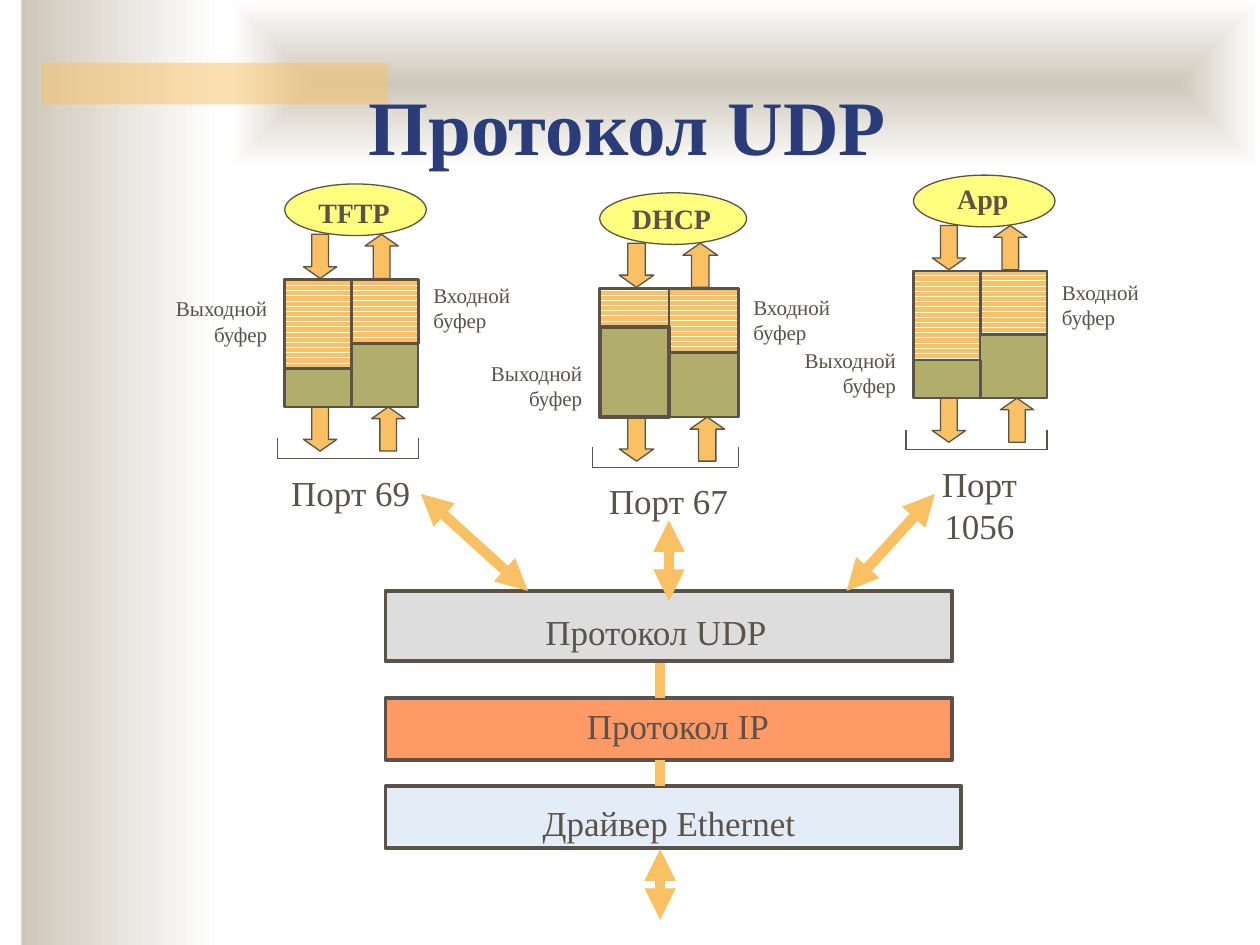
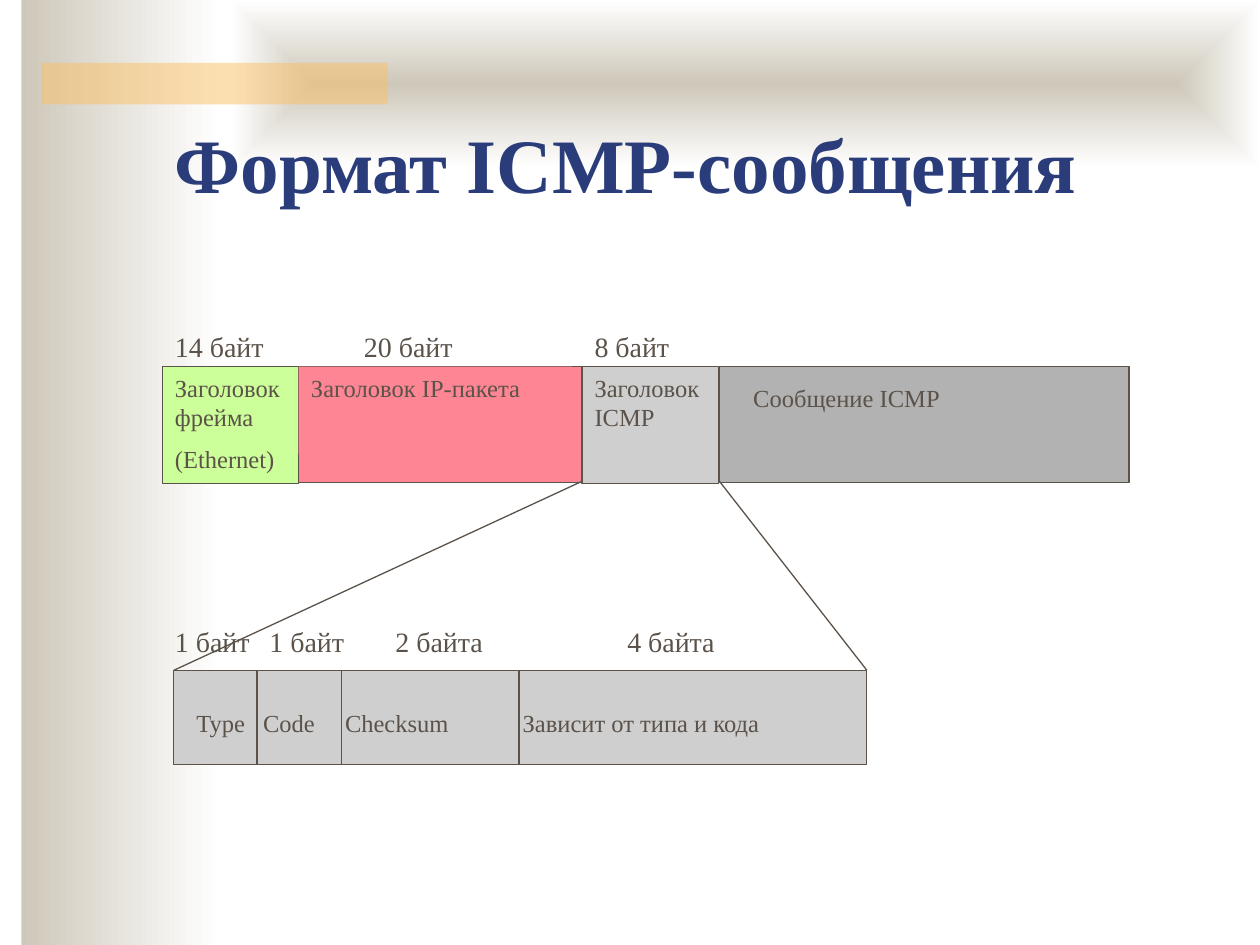
from itertools import pairwise

from pptx import Presentation, util as u
from pptx.dml.color import RGBColor
from pptx.enum import dml, shapes, text
from pptx.oxml import parse_xml
from pptx.oxml.ns import nsdecls
from pptx.oxml.xmlchemy import OxmlElement

CELL = u.Inches(1)
COLS, ROWS = 10, 7.5
FONT = "Times New Roman"
INK, NAVY, GOLD, SAND = "5B5249", "2A3D7A", "FAC164", "CEC8BA"
OLIVE, YELLOW, GREY, WHITE = "B0AE6A", "FFFF00", "CFCFCF", "FFFFFF"
KIND = shapes.MSO_SHAPE
LEFT, MID, RIGHT = text.PP_ALIGN.LEFT, text.PP_ALIGN.CENTER, text.PP_ALIGN.RIGHT


def grid(*spans):
    """Turn grid columns and rows into lengths."""
    return [round(span * CELL) for span in spans]


def tint(color, code, alpha=100):
    """Set a colour from a hex string, with opacity in percent."""
    color.rgb = RGBColor.from_string(code)
    if alpha < 100:
        node = OxmlElement("a:alpha")
        node.set("val", str(alpha * 1000))
        color._xFill[0].append(node)


def style(frame, size, align=LEFT, bold=False, code=INK):
    """Format every paragraph of a text frame."""
    frame.word_wrap = True
    frame.vertical_anchor = text.MSO_ANCHOR.TOP
    for para in frame.paragraphs:
        para.alignment = align
        for run in para.runs:
            run.font.name, run.font.size, run.font.bold = FONT, u.Pt(size), bold
            tint(run.font.color, code)
    for para in frame.paragraphs[1:]:
        para.space_before = u.Pt(size / 2)


def label(slide, words, box, size, align=LEFT, bold=False):
    """Add a text box."""
    frame = slide.shapes.add_textbox(*grid(*box)).text_frame
    frame.text = words
    style(frame, size, align, bold)


def block(slide, kind, box, fill=None, line=0.75, alpha=100):
    """Add a shape with a solid fill and an ink outline."""
    shape = slide.shapes.add_shape(kind, *grid(*box))
    shape.shadow.inherit = False
    if fill:
        shape.fill.solid()
        tint(shape.fill.fore_color, fill, alpha)
    if line:
        tint(shape.line.color, INK)
        shape.line.width = u.Pt(line)
    else:
        shape.line.fill.background()
    return shape


def rule(slide, start, end, code=INK, width=0.75, heads=False):
    """Add a straight line, with arrowheads at both ends on request."""
    line = slide.shapes.add_connector(
        shapes.MSO_CONNECTOR.STRAIGHT, *grid(*start, *end))
    tint(line.line.color, code)
    line.line.width = u.Pt(width)
    line._element.spPr.append(OxmlElement("a:effectLst"))
    if heads:
        for tag in ("a:headEnd", "a:tailEnd"):
            tip = OxmlElement(tag)
            tip.set("type", "triangle")
            line.line._get_or_add_ln().append(tip)


def fade(shape, form):
    """Fill a shape with a gradient from sand to white."""
    stops = "".join(
        f'<a:gs pos="{pos}"><a:srgbClr val="{code}"/></a:gs>'
        for pos, code in ((0, SAND), (100000, WHITE)))
    shape.fill.background()
    props = shape._element.spPr
    props.replace(props.find("{*}noFill"), parse_xml(
        f'<a:gradFill {nsdecls("a")} rotWithShape="1">'
        f"<a:gsLst>{stops}</a:gsLst>{form}</a:gradFill>"))


def bands(slide, layout):
    """Draw the shared bands and hand them to the layout."""
    side = block(slide, KIND.RECTANGLE, (0.17, 0, 1.58, ROWS), line=0)
    fade(side, '<a:lin ang="0" scaled="1"/>')
    top = block(slide, KIND.RECTANGLE, (1.83, 0, 8.17, 1.33), line=0)
    fade(top, '<a:path path="shape"><a:fillToRect l="50000" t="50000" '
              'r="50000" b="50000"/></a:path>')
    bar = block(slide, KIND.RECTANGLE, (0.33, 0.5, 2.75, 0.33), GOLD, 0, 50)
    for spot, band in enumerate((side, top, bar), 2):
        layout.shapes._spTree.insert(spot, band._element)


def head(slide, words, box):
    """Place and format the title."""
    title = slide.shapes.title
    title.left, title.top, title.width, title.height = grid(*box)
    title.text_frame.text = words
    style(title.text_frame, 44, MID, True, NAVY)
    title.text_frame.vertical_anchor = text.MSO_ANCHOR.MIDDLE
    title.text_frame.paragraphs[0].line_spacing = 0.75


def arrow(slide, kind, x, y, wide):
    """Add a short block arrow."""
    shape = block(slide, kind, (x, y, wide, 0.35), GOLD)
    shape.adjustments[0], shape.adjustments[1] = 0.5, 0.35


def queue(slide, box):
    """Add the striped part of a buffer."""
    shape = block(slide, KIND.RECTANGLE, box, line=1.5)
    shape.fill.patterned()
    shape.fill.pattern = dml.MSO_PATTERN.DARK_HORIZONTAL
    tint(shape.fill.fore_color, GOLD)
    tint(shape.fill.back_color, WHITE)


def port(slide, box, app, name, drop, out, into, full=False):
    """Draw an application, its two buffers and its port."""
    x, y, w, h = box
    half, wide = w / 2, w / 4
    block(slide, KIND.OVAL, (x, y - 0.76, w * 1.06, 0.41), YELLOW, alpha=50)
    label(slide, app, (x + 0.02, y + drop, w, 0.37), 16, MID, True)
    for across, down in ((0.6, -0.36), (0.65, h)):
        arrow(slide, KIND.UP_ARROW, x + across * w, y + down, wide)
        arrow(slide, KIND.DOWN_ARROW, x + 0.14 * w, y + down, wide)
    block(slide, KIND.RECTANGLE, box, OLIVE, 1.5)
    queue(slide, (x, y, half, 0.7 * h))
    queue(slide, (x + half, y, half, 0.5 * h))
    if full:
        block(slide, KIND.RECTANGLE,
              (x, y + 0.3 * h, half, 0.7 * h), OLIVE, 2.25)
    else:
        rule(slide, (x + half, y + 0.7 * h), (x + half, y + h), width=1.5)
    near, far, rim, base = x - 0.06, x + w, y + 1.26, y + 1.42
    for ends in pairwise(((near, rim), (near, base), (far, base), (far, rim))):
        rule(slide, *ends)
    label(slide, name, (near, y + 1.47, w * 1.1, 0.44), 20, MID)
    label(slide, "Выходной буфер", (x - 1.1, y + out, 1.06, 0.5), 12, RIGHT)
    label(slide, "Входной буфер",
          (far + 0.02, y + into, 1.05, 0.5), 12)


def layer(slide, box, words, spot, fill, alpha=100):
    """Draw one protocol layer with its name."""
    x, y, w, h = box
    block(slide, KIND.RECTANGLE, box, fill, 2.25, alpha)
    across, down, wide = spot
    label(slide, words, (x + across, y + down, wide, 0.44), 20, MID)


def stack(slide, x, y):
    """Draw the protocol layers and the links between them."""
    layer(slide, (x, y, 4.5, 0.56), "Протокол UDP", (0.49, 0.11, 3.31), "DDDDDD")
    layer(slide, (x, y + 0.85, 4.5, 0.49), "Протокол IP", (0.49, 0, 3.66), "FF9966")
    layer(slide, (x, y + 1.55, 4.57, 0.49), "Драйвер Ethernet",
          (0.28, 0.07, 3.94), "C9DDF1", 50)
    links = (((0.28, -0.77), (1.13, 0), True), ((2.25, -0.56), (2.25, 0.08), True),
             ((4.36, -0.77), (3.66, 0), True), ((2.18, 0.57), (2.18, 0.85), False),
             ((2.18, 1.34), (2.18, 1.55), False), ((2.18, 2.05), (2.18, 2.61), True))
    for (ax, ay), (bx, by), heads in links:
        rule(slide, (x + ax, y + ay), (x + bx, y + by), GOLD, 6, heads)


def frame(slide, x, y):
    """Draw the frame with its headers and their lengths."""
    parts = ((1.08, 2.25, 0.92, "FE8694", 0.75, ""),
             (0, 1.08, 0.93, "CCFF99", 0.75, "Заголовок фрейма\n(Ethernet)"),
             (1.08, 2.17, 0.69, "FE8694", 0, "Заголовок IP-пакета"),
             (3.33, 1.08, 0.93, GREY, 0.75, "Заголовок ICMP"),
             (4.42, 3.25, 0.92, "B2B2B2", 0.75, ""))
    for across, w, h, fill, line, words in parts:
        shape = block(slide, KIND.RECTANGLE, (x + across, y, w, h), fill, line)
        if words:
            shape.text_frame.text = words
            style(shape.text_frame, 14)
    label(slide, "Сообщение ICMP", (x + 4.59, y + 0.08, 3, 0.33), 14)
    for across, words in ((0, "14 байт"), (1.5, "20 байт"), (3.33, "8 байт")):
        label(slide, words, (x + across, y - 0.34, 1.25, 0.37), 16)


def detail(slide, x, y, w, h):
    """Draw the fields of the ICMP header."""
    block(slide, KIND.RECTANGLE, (x, y, w, h), GREY)
    fields = ((0, 0.08, -0.09, 0.7, "Type", "1 байт"),
              (0.66, -0.05, 0, 0.8, "Code", "1 байт"),
              (1.33, -0.07, 0.33, 1.4, "Checksum", "2 байта"),
              (2.74, -0.07, 0.76, 2.5, "Зависит от типа и кода", "4 байта"))
    for edge, shift, over, wide, words, size in fields:
        left = x + edge
        if edge:
            rule(slide, (left, y), (left, y + h))
        label(slide, size, (left + over, y - 0.41, 0.92, 0.37), 16)
        label(slide, words, (left + shift, y + h / 3, wide, 0.33), 14)


def udp(slide):
    """Build the UDP slide."""
    head(slide, "Протокол UDP", (0.12, 0.52, 9.72, 1.1))
    port(slide, (2.26, 2.22, 1.06, 1.01), "TFTP", "Порт 69", -0.72, 0.08, -0.03)
    port(slide, (4.76, 2.29, 1.1, 1.02), "DHCP", "Порт 67", -0.74, 0.52, 0, True)
    port(slide, (7.25, 2.15, 1.06, 1.01), "App", "Порт 1056", -0.76, 0.56, 0.02)
    stack(slide, 3.06, 4.69)


def icmp(slide):
    """Build the ICMP slide."""
    head(slide, "Формат ICMP-сообщения", (-0.03, 0.82, COLS, 1.1))
    frame(slide, 1.29, 2.91)
    detail(slide, 1.38, 5.32, 5.5, 0.75)
    rule(slide, (4.62, 3.82), (1.38, 5.32))
    rule(slide, (5.71, 3.82), (6.88, 5.32))


def main():
    """Build and save the slides."""
    deck = Presentation()
    deck.slide_width, deck.slide_height = grid(COLS, ROWS)
    layout = deck.slide_layouts[5]
    first, second = (deck.slides.add_slide(layout) for _ in range(2))
    bands(first, layout)
    udp(first)
    icmp(second)
    deck.save("out.pptx")


if __name__ == "__main__":
    main()
